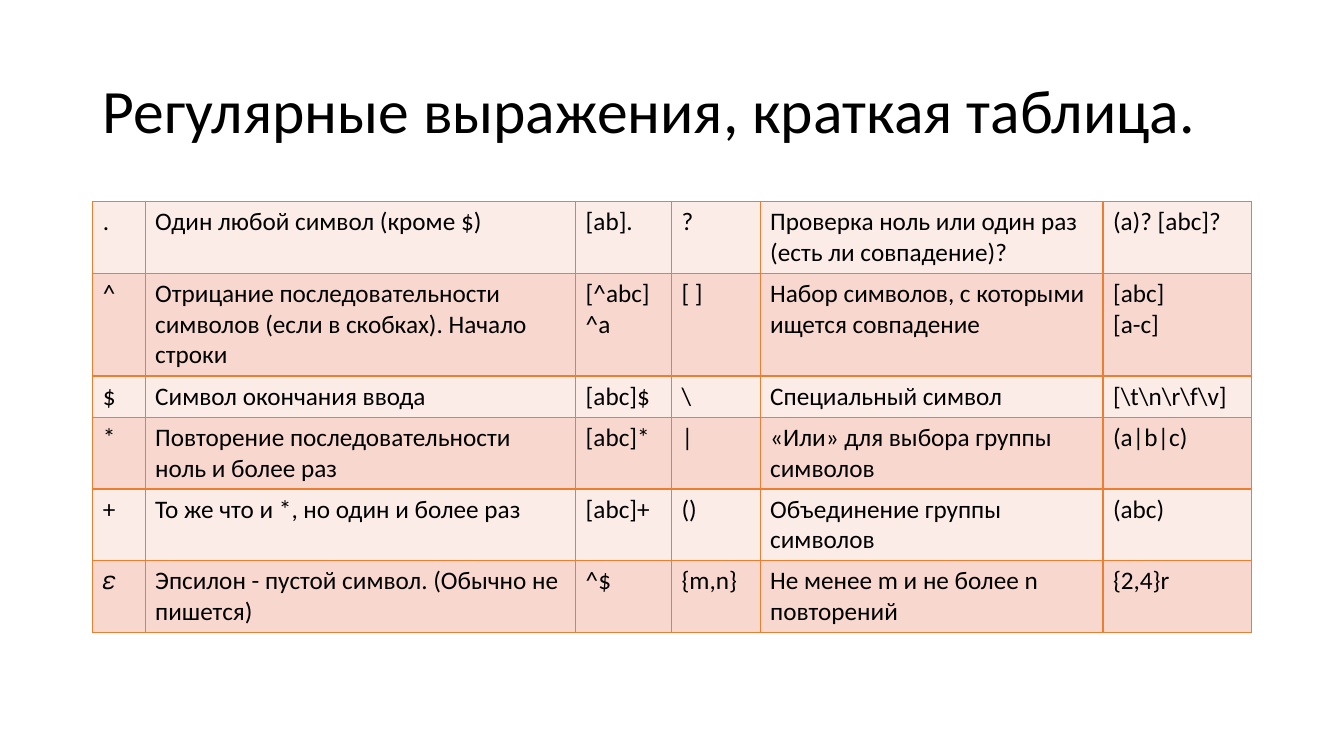
from dataclasses import dataclass

from lxml.etree import SubElement
from pptx import Presentation
from pptx.dml.color import RGBColor as RGB
from pptx.enum.text import MSO_ANCHOR as Anchor, MSO_AUTO_SIZE as AutoSize, PP_ALIGN as Align
from pptx.oxml.ns import qn
from pptx.util import Inches, Pt


@dataclass(frozen=True)
class Theme:
    font: str = "Calibri"
    text: str = "000000"
    border: str = "ED7D31"
    bands: tuple = ("FCECE8", "F8D7CE")
    title_size: int = 44
    cell_size: int = 18
    border_width: int = 1


def set_attrs(obj, values):
    for name, value in values.items():
        setattr(obj, name, value)


class SlideBuilder:
    def __init__(self, prs, theme):
        self.theme = theme
        self.s = prs.slides.add_slide(prs.slide_layouts[5])

    def style_text(self, tf, size, **paragraph_format):
        for p in tf.paragraphs:
            set_attrs(p, {"alignment": Align.LEFT, **paragraph_format})
            for r in p.runs:
                set_attrs(r.font, {"name": self.theme.font, "size": Pt(size), "bold": False})
                r.font.color.rgb = RGB.from_string(self.theme.text)

    def title(self, text, left, top, width, height):
        sp = self.s.shapes.title
        set_attrs(sp, {"left": Inches(left), "top": Inches(top),
                       "width": Inches(width), "height": Inches(height)})
        tf = sp.text_frame
        tf.text = text
        set_attrs(tf, {"word_wrap": True, "auto_size": AutoSize.NONE,
                       "vertical_anchor": Anchor.MIDDLE})
        self.style_text(tf, self.theme.title_size, line_spacing=0.9)

    def cell_borders(self, cell):
        tc_pr = cell._tc.get_or_add_tcPr()
        for side in "LRTB":
            ln = SubElement(tc_pr, qn(f"a:ln{side}"), w=str(Pt(self.theme.border_width)))
            fill = SubElement(ln, qn("a:solidFill"))
            SubElement(fill, qn("a:srgbClr"), val=self.theme.border)

    def table(self, rows, left, top, col_widths, row_heights):
        tbl = self.s.shapes.add_table(
            len(rows), len(col_widths), Inches(left), Inches(top),
            Inches(sum(col_widths)), Inches(sum(row_heights))).table
        set_attrs(tbl, {"first_row": False, "horz_banding": False})
        for col, width in zip(tbl.columns, col_widths):
            col.width = Inches(width)
        for i, (row, height, texts) in enumerate(zip(tbl.rows, row_heights, rows)):
            row.height = Inches(height)
            for cell, text in zip(row.cells, texts):
                cell.text = text
                self.style_text(cell.text_frame, self.theme.cell_size)
                self.cell_borders(cell)
                cell.fill.solid()
                cell.fill.fore_color.rgb = RGB.from_string(self.theme.bands[i % 2])


REGEX_ROWS = [
    (".", "Один любой символ (кроме $)", "[ab].",
     "?", "Проверка ноль или один раз (есть ли совпадение)?", "(a)? [abc]?"),
    ("^", "Отрицание последовательности символов (если в скобках). Начало строки", "[^abc]\n^a",
     "[ ]", "Набор символов, с которыми ищется совпадение", "[abc]\n[a-c]"),
    ("$", "Символ окончания ввода", "[abc]$",
     "\\", "Специальный символ", r"[\t\n\r\f\v]"),
    ("*", "Повторение последовательности ноль и более раз", "[abc]*",
     "|", "«Или» для выбора группы символов", "(a|b|c)"),
    ("+", "То же что и *, но один и более раз", "[abc]+",
     "()", "Объединение группы символов", "(abc)"),
    ("𝜀", "Эпсилон - пустой символ. (Обычно не пишется)", "^$",
     "{m,n}", "Не менее m и не более n повторений", "{2,4}r"),
]
COL_WIDTHS = [0.52, 4.27, 0.95, 0.88, 3.4, 1.47]
ROW_HEIGHTS = [0.71, 1.02, 0.41, 0.71, 0.71, 0.71]

prs = Presentation()
set_attrs(prs, {"slide_width": Inches(13.33), "slide_height": Inches(7.5)})
slide = SlideBuilder(prs, Theme())
slide.title("Регулярные выражения, краткая таблица.", 0.92, 0.4, 11.5, 1.45)
slide.table(REGEX_ROWS, 0.92, 2, COL_WIDTHS, ROW_HEIGHTS)
prs.save("out.pptx")
